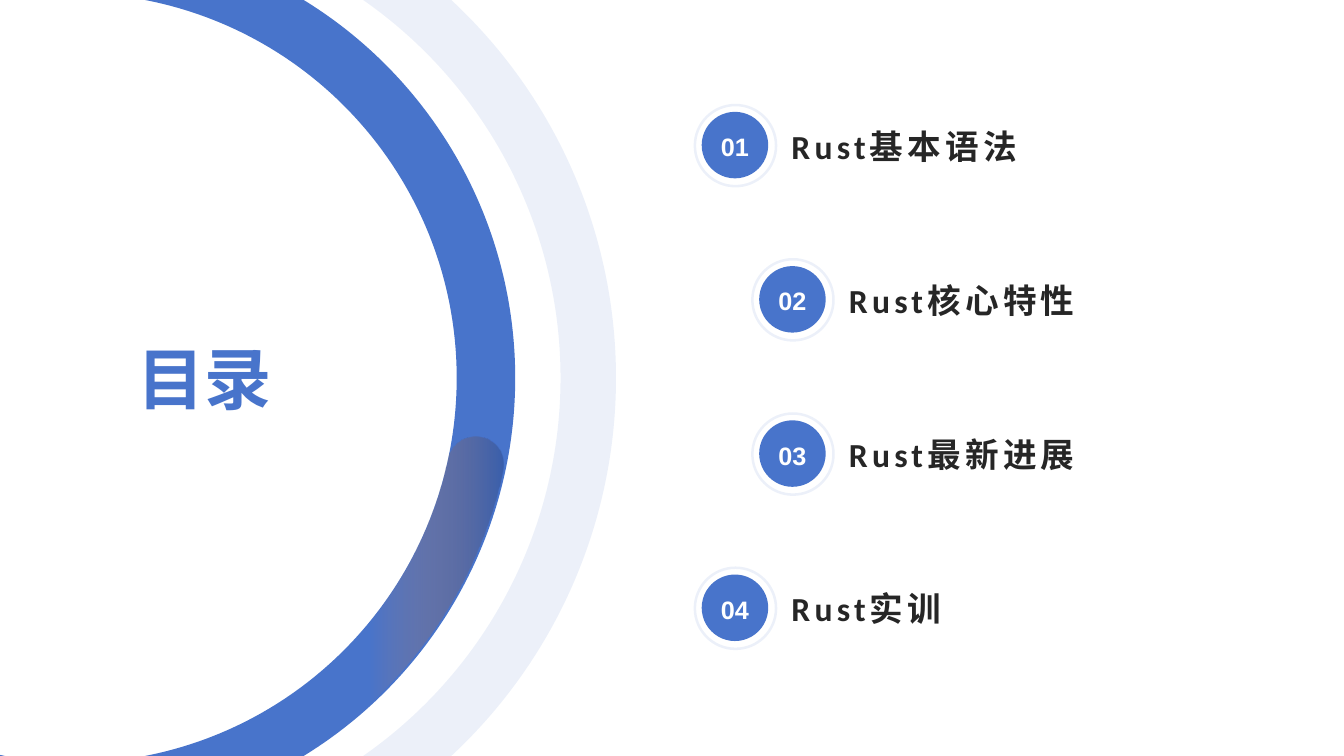
from math import asin, cos, degrees, radians, sin, tan

from lxml.etree import SubElement
from pptx import Presentation
from pptx.dml.color import RGBColor
from pptx.enum.shapes import MSO_SHAPE
from pptx.enum.text import MSO_ANCHOR, PP_ALIGN
from pptx.oxml.ns import qn
from pptx.util import Inches, Pt

BLUE = RGBColor(0x48, 0x74, 0xCB)
NAVY = RGBColor(0x2E, 0x54, 0xA1)
ORANGE = RGBColor(0xEE, 0x82, 0x2F)
DARK = RGBColor(0x26, 0x26, 0x26)
WHITE = RGBColor(0xFF, 0xFF, 0xFF)

HEIGHT = 7.5
MIDDLE = HEIGHT / 2
BLUE_CENTER = (0.71, MIDDLE)
PALE_CENTER = (0.99, MIDDLE)
INNER, OUTER, GLOW_OUTER = 3.82, 4.4, 4.38
GLOW_ANGLE = 12.1
TOPICS = [
    ("Rust基本语法", 6.88),
    ("Rust核心特性", 7.45),
    ("Rust最新进展", 7.45),
    ("Rust实训", 6.88),
]
FIRST_TOP, ROW_STEP = 1.03, 1.53

FRAME = {
    "margin_left": 0, "margin_right": 0, "margin_top": 0, "margin_bottom": 0,
    "vertical_anchor": MSO_ANCHOR.MIDDLE, "word_wrap": True,
}
TITLE_FONT = {"name": "Arial", "size": Pt(48), "bold": True}
TOPIC_FONT = {"name": "Calibri", "size": Pt(24), "bold": True}
NUMBER_FONT = {"name": "Arial", "size": Pt(18), "bold": True}


def set_format(target, values):
    """Set every named value on the target."""
    for name, value in values.items():
        setattr(target, name, value)


def set_alpha(shape, percents):
    """Give the fill colours of a shape their opacity in order."""
    colors = shape.element.spPr.iter(qn("a:srgbClr"))
    for color, percent in zip(list(colors), percents):
        SubElement(color, qn("a:alpha")).set("val", str(percent * 1000))


def make_plain(shape, color):
    """Fill a shape with one colour, without outline or shadow."""
    shape.shadow.inherit = False
    shape.fill.solid()
    shape.fill.fore_color.rgb = color
    shape.line.fill.background()


def write_text(shape, text, font, color, frame=FRAME):
    """Write one formatted paragraph and return it with its run."""
    set_format(shape.text_frame, frame)
    para = shape.text_frame.paragraphs[0]
    span = para.add_run()
    span.text = text
    set_format(span.font, font)
    span.font.color.rgb = color
    return para, span


def add_text(page, place, text, font, color):
    """Add a text box and return its run."""
    box = page.shapes.add_textbox(*map(Inches, place))
    return write_text(box, text, font, color)[1]


def arc(center, radius, start, end, pieces=2):
    """Return an arc as a line to its start followed by Bezier curves."""
    step = radians(end - start) / pieces
    pull = 4 / 3 * tan(step / 4)

    def spot(angle, shift):
        """Return the point at an angle, shifted along the tangent."""
        return (center[0] + radius * (cos(angle) - shift * sin(angle)),
                center[1] + radius * (sin(angle) + shift * cos(angle)))

    angles = [radians(start) + step * i for i in range(pieces + 1)]
    curves = [[spot(a, pull), spot(b, -pull), spot(b, 0)]
              for a, b in zip(angles, angles[1:])]
    return [[spot(angles[0], 0)]] + curves


def edge_angle(radius):
    """Return the angle at which a circle leaves the slide."""
    return degrees(asin(MIDDLE / radius))


def band(center, inner, outer):
    """Return the outline of a ring cut off by the slide edges."""
    low, high = edge_angle(inner), edge_angle(outer)
    return arc(center, outer, -high, high) + arc(center, inner, low, -low)


def glow():
    """Return the outline of the lower ring part with a round cap."""
    middle = (INNER + GLOW_OUTER) / 2
    cap_center = arc(BLUE_CENTER, middle, GLOW_ANGLE, GLOW_ANGLE)[0][0]
    cap = arc(cap_center, (GLOW_OUTER - INNER) / 2, GLOW_ANGLE, GLOW_ANGLE - 180)
    return (
        arc(BLUE_CENTER, GLOW_OUTER, edge_angle(GLOW_OUTER), GLOW_ANGLE, 1)
        + cap[1:]
        + arc(BLUE_CENTER, INNER, GLOW_ANGLE, edge_angle(INNER), 1)[1:]
    )


def bend(shape, segments):
    """Join the lines of each three-point segment into a Bezier curve."""
    lines = iter(list(shape.element.iter(qn("a:lnTo"))))
    for segment in segments:
        first, *others = [next(lines) for _ in segment]
        if others:
            first.tag = qn("a:cubicBezTo")
        for line in others:
            first.append(line[0])
            line.getparent().remove(line)


def add_outline(page, contours, color):
    """Add a filled freeform made of closed contours."""
    builder = None
    for contour in contours:
        points = [tuple(map(Inches, point)) for segment in contour for point in segment]
        if builder is None:
            builder = page.shapes.build_freeform(*points[0])
        else:
            builder.move_to(*points[0])
        builder.add_line_segments(points[1:])
    shape = builder.convert_to_shape()
    bend(shape, [segment for contour in contours for segment in contour[1:]])
    make_plain(shape, color)
    return shape


def add_glow(page):
    """Add the fading highlight on the blue ring."""
    corner = [[(0, HEIGHT)], [(0.01, HEIGHT)]]
    shape = add_outline(page, [glow(), corner], NAVY)
    shape.fill.gradient()
    shape.fill.gradient_angle = 0
    stops = [(0.73, ORANGE), (1, NAVY)]
    for stop, (position, color) in zip(shape.fill.gradient_stops, stops):
        stop.position = position
        stop.color.rgb = color
    set_alpha(shape, [0, 70])


def add_topic(page, number, text, left, top):
    """Add a ringed number and its topic."""
    center = (left + 0.415, top + 0.415)
    circles = [arc(center, 0.39, 90, -270, 4), arc(center, 0.415, 90, 450, 4)]
    set_alpha(add_outline(page, circles, BLUE), [10])
    disc = page.shapes.add_shape(
        MSO_SHAPE.OVAL, *map(Inches, (left + 0.08, top + 0.08, 0.66, 0.66)))
    make_plain(disc, BLUE)
    para, _ = write_text(
        disc, f"{number:02}", NUMBER_FONT, WHITE, {**FRAME, "word_wrap": False})
    set_format(para, {"alignment": PP_ALIGN.CENTER, "line_spacing": 1.1})
    span = add_text(page, (left + 0.97, top + 0.14, 4.02, 0.55), text, TOPIC_FONT, DARK)
    span.font._element.set("spc", "300")


def main():
    """Build the contents slide."""
    deck = Presentation()
    set_format(deck, {"slide_width": Inches(13.33), "slide_height": Inches(HEIGHT)})
    page = deck.slides.add_slide(deck.slide_layouts[6])
    pale_ring = add_outline(page, [band(PALE_CENTER, 4.57, 5.12)], BLUE)
    set_alpha(pale_ring, [10])
    corner = [[(0, 7.49)], [(0, HEIGHT)], [(0.05, HEIGHT)]]
    add_outline(page, [band(BLUE_CENTER, INNER, OUTER), corner], BLUE)
    add_glow(page)
    add_text(page, (1.36, 3.03, 2.91, 1.44), "目录", TITLE_FONT, BLUE)
    for index, (text, left) in enumerate(TOPICS):
        add_topic(page, index + 1, text, left, FIRST_TOP + index * ROW_STEP)
    deck.save("out.pptx")


if __name__ == "__main__":
    main()
